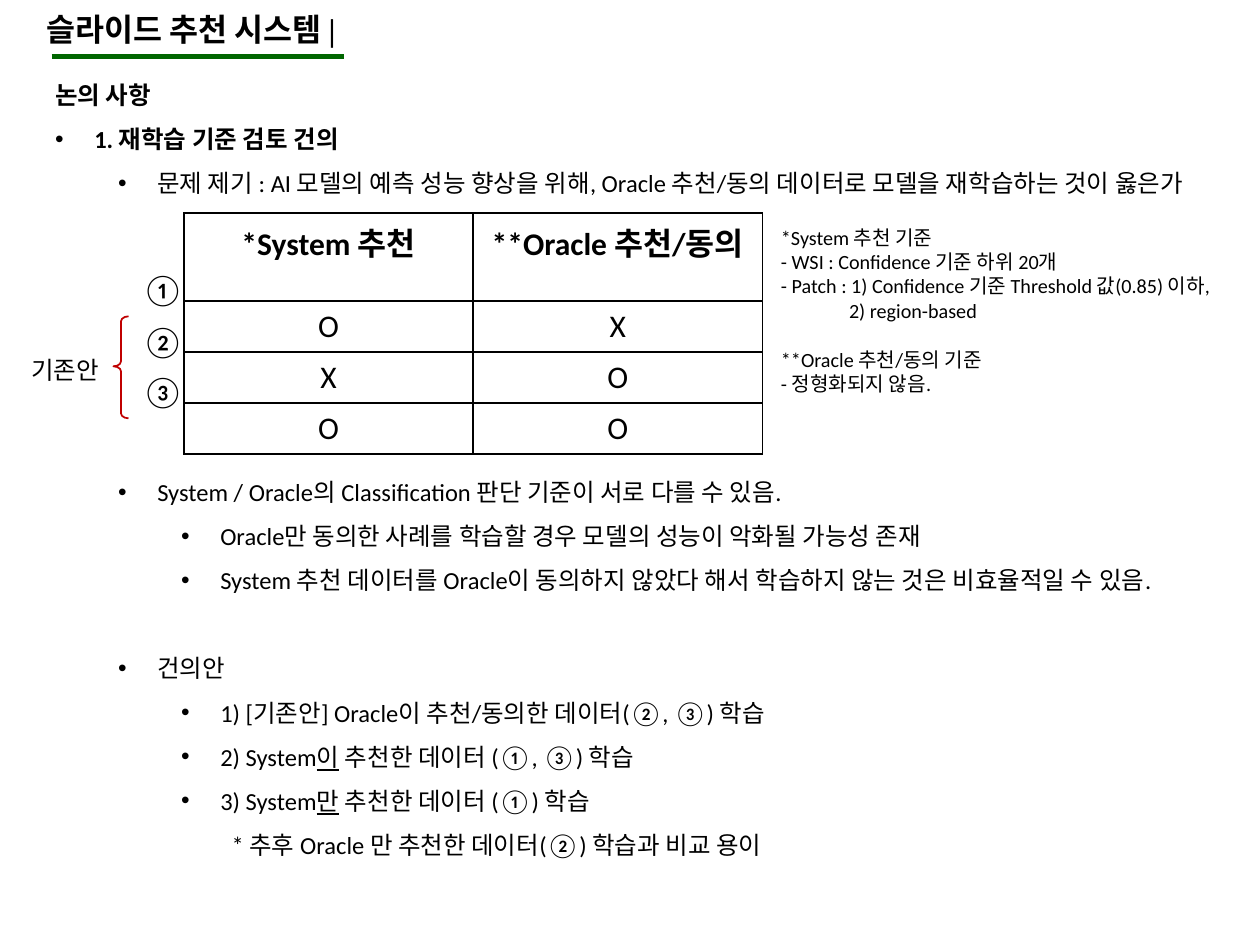
from dataclasses import dataclass

from lxml import etree
from pptx import Presentation
from pptx.dml.color import RGBColor
from pptx.enum.shapes import MSO_CONNECTOR, MSO_SHAPE
from pptx.enum.text import MSO_AUTO_SIZE, PP_ALIGN
from pptx.oxml.ns import qn
from pptx.util import Inches, Pt

STRAIGHT = MSO_CONNECTOR.STRAIGHT
BRACE = MSO_SHAPE.RIGHT_BRACE
GROW = MSO_AUTO_SIZE.SHAPE_TO_FIT_TEXT
CENTER = PP_ALIGN.CENTER


@dataclass(frozen=True)
class Theme:
    """Colours, fonts and type sizes of the deck."""
    ink: RGBColor = RGBColor(0, 0, 0)
    paper: RGBColor = RGBColor(255, 255, 255)
    rule: RGBColor = RGBColor(0, 0x66, 0)
    accent: RGBColor = RGBColor(0xC0, 0, 0)
    serif: str = "Times New Roman"
    sans: str = "Calibri"
    large: float = 18
    body: float = 14
    small: float = 11.5


THEME = Theme()
BLANK_LINE = 25.2

OUTLINE = [
    (None, 0, ["논의 사항"]),
    (0, 0, ["1. 재학습 기준 검토 건의 "]),
    (1, 0, ["문제 제기 : AI 모델의 예측 성능 향상을 위해, Oracle 추천/동의 데이터로 모델을 재학습하는 것이 옳은가 "]),
    (1, 6, ["System / Oracle의 Classification 판단 기준이 서로 다를 수 있음. "]),
    (2, 0, ["Oracle만 동의한 사례를 학습할 경우 모델의 성능이 악화될 가능성 존재"]),
    (2, 0, ["System 추천 데이터를 Oracle이 동의하지 않았다 해서 학습하지 않는 것은 비효율적일 수 있음. "]),
    (1, 1, ["건의안 "]),
    (2, 0, ["1) [기존안] Oracle이 추천/동의한 데이터(②, ③) 학습 "]),
    (2, 0, ["2) System", "이", " 추천한 데이터 (①, ③) 학습"]),
    (2, 0, ["3) System", "만", " 추천한 데이터 (①) 학습"]),
    (None, 0, ["* 추후 Oracle 만 추천한 데이터(②) 학습과 비교 용이 "]),
]
CASES = [
    ("*System 추천", "**Oracle 추천/동의"),
    ("O", "X"),
    ("X", "O"),
    ("O", "O"),
]
CRITERIA = [
    ("*System 추천 기준", 0, 0),
    ("- WSI : Confidence 기준 하위 20개", 0, 0),
    ("- Patch : 1) Confidence 기준 Threshold 값(0.85) 이하,", 0, 0),
    ("2) region-based", 0.54, 0),
    ("**Oracle 추천/동의 기준 ", 0, 14.4),
    ("- 정형화되지 않음. ", 0, 0),
]


def add_span(para, text, size, font=THEME.sans, bold=False, underline=None):
    """Add one styled run to a paragraph."""
    span = para.add_run()
    span.text = text
    span.font.size = Pt(size)
    span.font.name = font
    span.font.bold = bold
    span.font.underline = underline
    span.font.color.rgb = THEME.ink


def add_box(page, left, top, width, height, wrap=True):
    """Add a text box and return its text frame."""
    box = page.shapes.add_textbox(Inches(left), Inches(top), Inches(width), Inches(height))
    box.text_frame.word_wrap = wrap
    box.text_frame.auto_size = GROW
    return box.text_frame


def next_para(frame, index):
    """Return the first paragraph, or a new one after it."""
    return frame.paragraphs[0] if index == 0 else frame.add_paragraph()


def set_indent(para, left, first=0.0):
    """Set the left margin and first-line indent of a paragraph."""
    props = para._p.get_or_add_pPr()
    props.set("marL", str(Inches(left)))
    props.set("indent", str(Inches(first)))


def add_bullet(para):
    """Give a paragraph a round bullet."""
    props = para._p.get_or_add_pPr()
    etree.SubElement(props, qn("a:buFont")).set("typeface", "Arial")
    etree.SubElement(props, qn("a:buChar")).set("char", "•")


def add_heading(page, left, top, width):
    """Place the page title with its green rule."""
    frame = add_box(page, left, top, width, 0.4)
    add_span(frame.paragraphs[0], "슬라이드 추천 시스템 | ", THEME.large, THEME.serif, True)
    rule_top = Inches(top + 0.42)
    rule = page.shapes.add_connector(
        STRAIGHT, Inches(left + 0.14), rule_top, Inches(left + 2.46), rule_top)
    rule.line.color.rgb = THEME.rule
    rule.line.width = Pt(3)
    etree.SubElement(rule._element.spPr, qn("a:effectLst"))


def add_outline(page, left, top, width, height):
    """Place the bulleted discussion outline."""
    frame = add_box(page, left, top, width, height)
    for index, (level, gap, spans) in enumerate(OUTLINE):
        para = next_para(frame, index)
        para.line_spacing = 1.5
        para.space_before = Pt(gap * BLANK_LINE)
        if level is not None:
            para.level = level
            set_indent(para, 0.31 + level * 0.5, -0.31)
            add_bullet(para)
        elif index:
            para.level = 2
            set_indent(para, 1.4)
        font = THEME.sans if index else THEME.serif
        for order, text in enumerate(spans):
            add_span(para, text, THEME.body, font, index < 2, order == 1)


def add_borders(cell):
    """Draw a thin line on all four sides of a cell."""
    props = cell._tc.get_or_add_tcPr()
    for side in ("a:lnL", "a:lnR", "a:lnT", "a:lnB"):
        line = etree.SubElement(props, qn(side), w=str(Pt(1)))
        fill = etree.SubElement(line, qn("a:solidFill"))
        etree.SubElement(fill, qn("a:srgbClr"), val=str(THEME.ink))


def add_case_table(page, left, top, width, height):
    """Place the table of recommendation cases."""
    table = page.shapes.add_table(
        len(CASES), 2, Inches(left), Inches(top), Inches(width), Inches(height)).table
    table.first_row = False
    table.horz_banding = False
    for row, texts in enumerate(CASES):
        for column, text in enumerate(texts):
            cell = table.cell(row, column)
            add_borders(cell)
            if row == 0:
                cell.fill.solid()
                cell.fill.fore_color.rgb = THEME.paper
            else:
                cell.fill.background()
            para = cell.text_frame.paragraphs[0]
            para.alignment = CENTER
            add_span(para, text, THEME.large, bold=row == 0)


def add_case_labels(page, left, top):
    """Place the circled numbers, the brace and its label."""
    brace = page.shapes.add_shape(
        BRACE, Inches(left + 0.75), Inches(top + 0.42), Inches(0.12), Inches(0.81))
    brace.rotation = 180
    brace.adjustments[0] = 0.333
    brace.adjustments[1] = 0.51
    brace.shadow.inherit = False
    brace.fill.background()
    brace.line.color.rgb = THEME.accent
    brace.line.width = Pt(1)
    label = add_box(page, left, top + 0.68, 0.79, 0.34, False)
    add_span(label.paragraphs[0], "기존안", THEME.body)
    for number, offset in (("①", 0), ("②", 0.42), ("③", 0.81)):
        frame = add_box(page, left + 0.88, top + offset, 0.45, 0.4, False)
        add_span(frame.paragraphs[0], number, THEME.large)


def add_criteria(page, left, top, width, height):
    """Place the notes on the recommendation criteria."""
    frame = add_box(page, left, top, width, height)
    frame.margin_right = Inches(0)
    for index, (text, indent, gap) in enumerate(CRITERIA):
        para = next_para(frame, index)
        para.space_before = Pt(gap)
        set_indent(para, indent)
        add_span(para, text, THEME.small)


def build():
    """Build the deck and save it."""
    deck = Presentation()
    deck.slide_width = Inches(10)
    deck.slide_height = Inches(7.5)
    page = deck.slides.add_slide(deck.slide_layouts[6])
    add_heading(page, 0.27, 0.03, 6.96)
    add_outline(page, 0.34, 0.47, 9.66, 6.42)
    add_case_table(page, 1.46, 1.69, 4.59, 1.62)
    add_case_labels(page, 0.15, 2.09)
    add_criteria(page, 6.1, 1.74, 3.9, 1.51)
    deck.save("out.pptx")


build()
